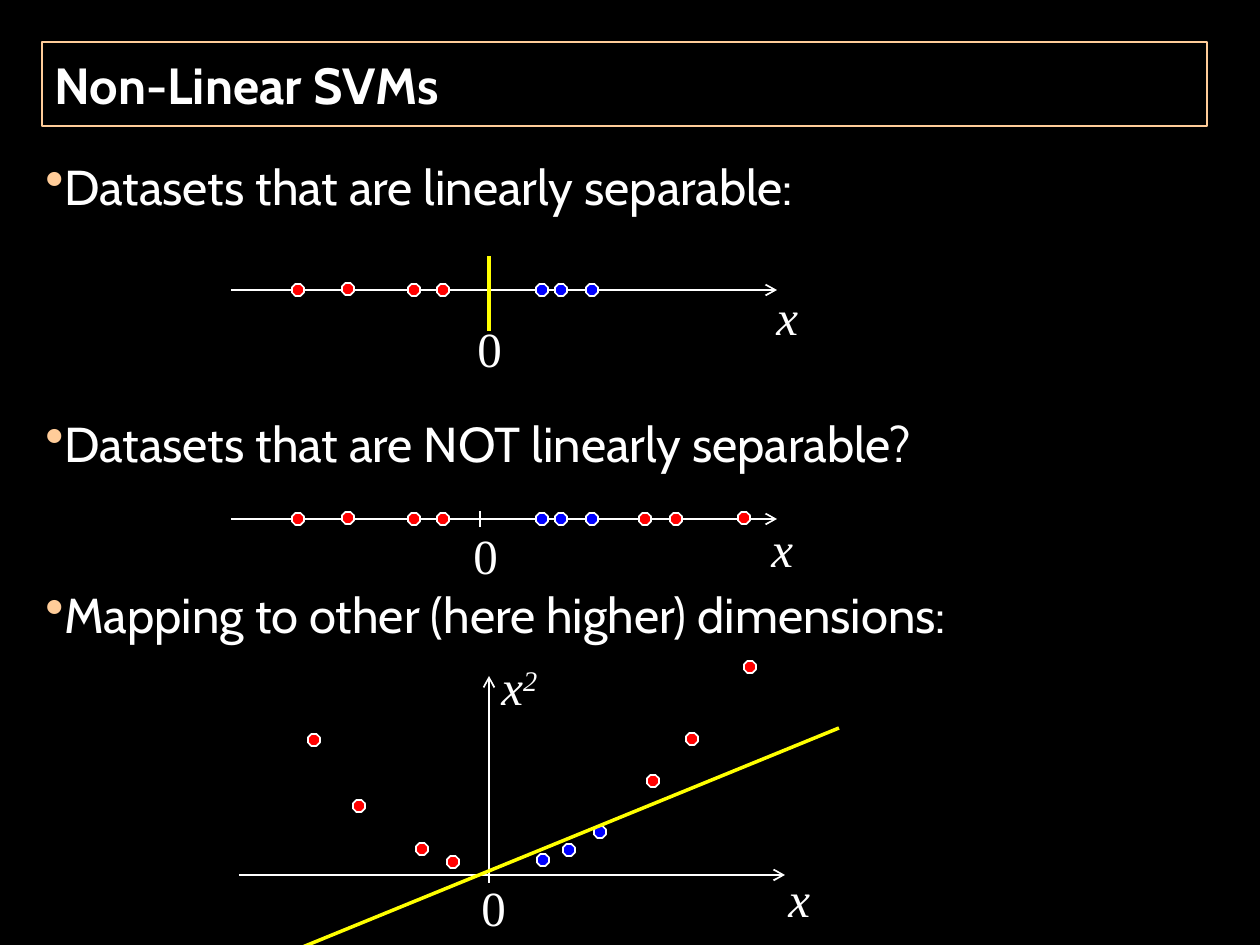
from lxml.etree import SubElement
from pptx import Presentation
from pptx.dml.color import RGBColor
from pptx.enum.shapes import MSO_CONNECTOR, MSO_SHAPE
from pptx.enum.text import MSO_ANCHOR, MSO_AUTO_SIZE, PP_ALIGN
from pptx.oxml.ns import qn
from pptx.util import Pt

SCALE = 914400 / 126
COLORS = {"black": "000000", "white": "FFFFFF", "peach": "FFCC99",
          "red": "FF0000", "blue": "0000FF", "yellow": "FFFF00"}
DOT = 12
BULLET_GAP = 6   # points above and below each bullet
LINE_STEP = 49   # points from one bullet line to the next

BULLETS = [  # text, lines left free above it for a diagram
    ("Datasets that are linearly separable:", 0),
    ("Datasets that are NOT linearly separable?", 2),
    ("Mapping to other (here higher) dimensions:", 1),
]
# Dot centres
LEFT_RED = [(298, 0), (348, -1), (414, 0), (443, 0)]
MIDDLE_BLUE = [(542, 0), (561, 0), (592, 0)]
RIGHT_RED = [(645, 0), (676, 0), (744, -1)]
CURVE_RED = [(314, 740), (359, 806), (422, 849), (453, 862),
             (653, 781), (692, 739), (750, 667)]
CURVE_BLUE = [(543, 860), (569, 850), (600, 832)]


def px(n):
    return round(n * SCALE)


def rgb(name):
    return RGBColor.from_string(COLORS[name])


def add_run(p, text, font="Cabin", size=28, bold=False, italic=False, raised=0):
    r = p.add_run()
    r.text = text
    f = r.font
    f.name, f.size, f.bold, f.italic = font, Pt(size), bold, italic
    f.color.rgb = rgb("white")
    if raised:
        r._r.get_or_add_rPr().set("baseline", str(raised * 1000))


def add_frame(s, x, y, w, h):
    tf = s.shapes.add_textbox(px(x), px(y), px(w), px(h)).text_frame
    tf.word_wrap = True
    return tf


def add_title(s, text):
    sp = s.shapes.title
    sp.left, sp.top, sp.width, sp.height = px(42), px(42), px(1165), px(84)
    sp.line.color.rgb = rgb("peach")
    sp.line.width = Pt(0.75)
    tf = sp.text_frame
    tf.auto_size = MSO_AUTO_SIZE.NONE
    tf.vertical_anchor = MSO_ANCHOR.MIDDLE
    p = tf.paragraphs[0]
    p.alignment = PP_ALIGN.LEFT
    add_run(p, text, size=29, bold=True)


def add_bullets(s, bullets):
    tf = add_frame(s, 33, 144, 1160, 746)
    for i, (text, free_lines) in enumerate(bullets):
        p = tf.add_paragraph() if i else tf.paragraphs[0]
        p.line_spacing = 1.1
        p.space_before = Pt(BULLET_GAP + free_lines * LINE_STEP)
        p.space_after = Pt(BULLET_GAP)
        pPr = p._p.get_or_add_pPr()
        color = SubElement(pPr, qn("a:buClr"))
        SubElement(color, qn("a:srgbClr"), val=COLORS["peach"])
        SubElement(pPr, qn("a:buSzPct"), val="110000")
        SubElement(pPr, qn("a:buChar"), char="•")
        add_run(p, text)


def add_label(s, x, y, text, power=""):
    """Write an axis label; letters are italic, and power is raised."""
    italic = text.isalpha()
    tf = add_frame(s, x, y, 63 if italic else 47, 72)
    tf.margin_right = 0
    tf.vertical_anchor = MSO_ANCHOR.BOTTOM
    p = tf.paragraphs[0]
    add_run(p, text, font="Times New Roman", italic=italic)
    if power:
        add_run(p, power, font="Times New Roman", italic=italic, raised=30)


def add_line(s, x1, y1, x2, y2, color="white", width=1, arrow=False):
    c = s.shapes.add_connector(MSO_CONNECTOR.STRAIGHT,
                               px(x1), px(y1), px(x2), px(y2))
    c.line.color.rgb = rgb(color)
    c.line.width = Pt(width)
    if arrow:
        SubElement(c.line._get_or_add_ln(), qn("a:tailEnd"), type="arrow")
    SubElement(c._element.spPr, qn("a:effectLst"))


def add_dots(s, centres, color, base=0):
    """Draw a dot at each centre, with y measured from base."""
    for x, y in centres:
        sp = s.shapes.add_shape(MSO_SHAPE.OCTAGON, px(x - DOT / 2),
                                px(base + y - DOT / 2), px(DOT), px(DOT))
        sp.shadow.inherit = False
        sp.fill.solid()
        sp.fill.fore_color.rgb = rgb(color)
        sp.line.color.rgb = rgb("white")
        sp.line.width = Pt(1)


def add_axis(s, x, y):
    add_line(s, x, y, x + 546, y, arrow=True)


def add_tick(s, x, y):
    add_line(s, x, y - 8, x, y + 8)


def add_separable(s):
    add_axis(s, 231, 290)
    add_dots(s, LEFT_RED, "red", 290)
    add_dots(s, MIDDLE_BLUE, "blue", 290)
    add_line(s, 489, 256, 489, 331, color="yellow", width=2)
    add_label(s, 465, 312, "0")
    add_label(s, 764, 280, "x")


def add_not_separable(s):
    add_axis(s, 231, 519)
    add_tick(s, 480, 519)
    add_dots(s, LEFT_RED + RIGHT_RED, "red", 519)
    add_dots(s, MIDDLE_BLUE, "blue", 519)
    add_label(s, 461, 519, "0")
    add_label(s, 759, 512, "x")


def add_mapping(s):
    add_axis(s, 239, 875)
    add_tick(s, 489, 875)
    add_line(s, 489, 880, 489, 676, arrow=True)
    add_dots(s, CURVE_RED, "red")
    add_dots(s, CURVE_BLUE, "blue")
    add_label(s, 469, 871, "0")
    add_label(s, 489, 650, "x", power="2")
    add_label(s, 776, 862, "x")
    add_line(s, 239, 973, 839, 728, color="yellow", width=2)


def main():
    prs = Presentation()
    prs.slide_width, prs.slide_height = px(1260), px(945)
    s = prs.slides.add_slide(prs.slide_layouts[5])
    s.background.fill.solid()
    s.background.fill.fore_color.rgb = rgb("black")
    add_title(s, "Non-Linear SVMs")
    add_bullets(s, BULLETS)
    add_separable(s)
    add_not_separable(s)
    add_mapping(s)
    prs.save("out.pptx")


if __name__ == "__main__":
    main()
